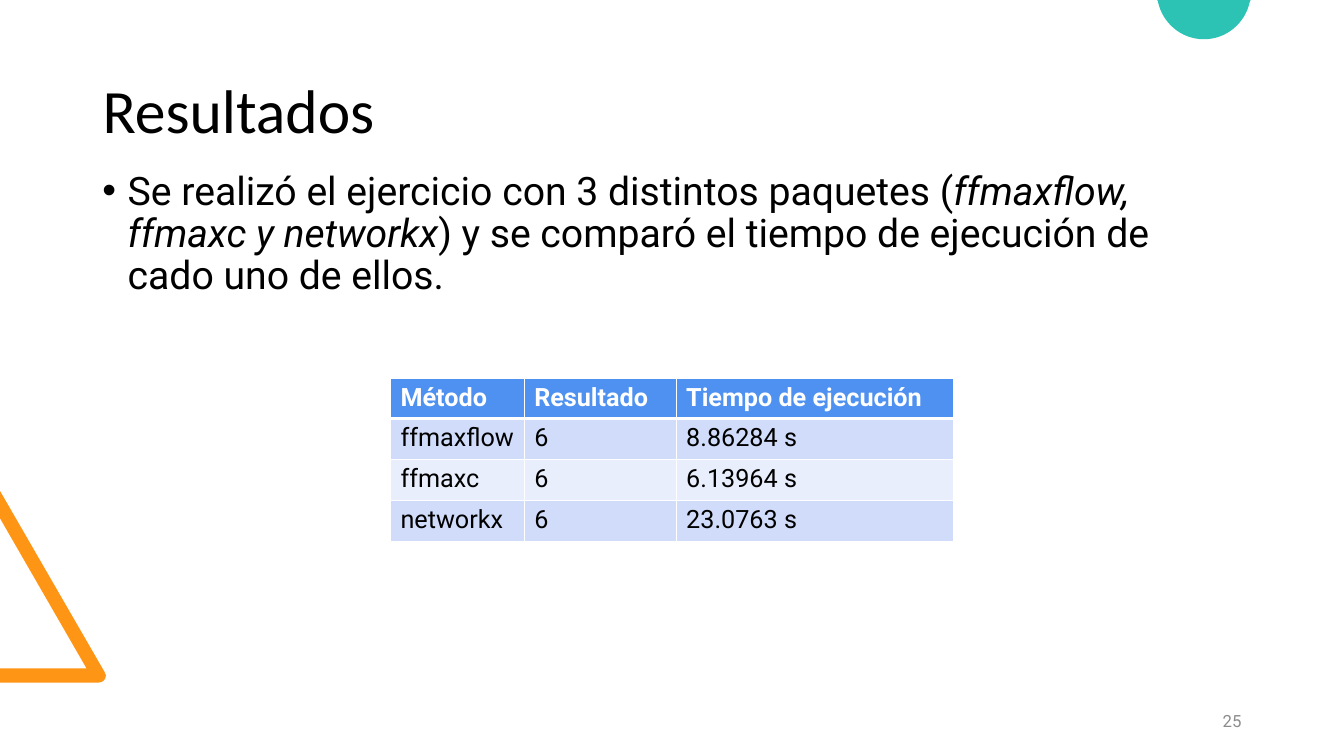
from dataclasses import dataclass

from lxml.etree import SubElement
from pptx import Presentation
from pptx.dml.color import RGBColor
from pptx.enum.text import MSO_ANCHOR as Anchor, MSO_AUTO_SIZE as AutoSize, PP_ALIGN as Align
from pptx.oxml.ns import qn
from pptx.util import Cm, Pt


@dataclass(frozen=True)
class Theme:
    heading_font: str = "Calibri"
    body_font: str = "Roboto"
    title_size: float = 44
    body_size: float = 28
    table_size: float = 18
    number_size: float = 12
    black: str = "000000"
    white: str = "FFFFFF"
    grey: str = "8C8C8C"
    orange: str = "FF9514"
    teal: str = "2CC3B4"
    header: str = "4E91F0"
    bands: tuple[str, str] = ("D0DCF9", "E9EEFC")


@dataclass(frozen=True)
class Box:
    left: float
    top: float
    width: float
    height: float

    def lengths(self) -> tuple[Cm, Cm, Cm, Cm]:
        return Cm(self.left), Cm(self.top), Cm(self.width), Cm(self.height)


@dataclass(frozen=True)
class Outline:
    """Straight corners, then Bézier curves of three points each."""
    corners: list[tuple[float, float]]
    curves: list[tuple[float, float]]
    color: str


@dataclass(frozen=True)
class Measurement:
    method: str
    result: str
    time: str


THEME = Theme()
TITLE_BOX = Box(2.33, 1.01, 29.21, 3.68)
BODY_BOX = Box(2.33, 4.19, 29.21, 12.95)
NUMBER_BOX = Box(23.92, 17.65, 7.62, 1.02)
TABLE_BOX = Box(9.84, 9.53, 14.18, 4.09)
COLUMN_WIDTHS = (3.37, 3.83, 6.98)
HEADER_HEIGHT, ROW_HEIGHT = 1.0, 1.03
HEADINGS = ("Método", "Resultado", "Tiempo de ejecución")
MEASUREMENTS = (
    Measurement("ffmaxflow", "6", "8.86284 s"),
    Measurement("ffmaxc", "6", "6.13964 s"),
    Measurement("networkx", "6", "23.0763 s"),
)
OUTLINES = (
    Outline(
        [(0, 17.2), (0, 16.84), (2.18, 16.84), (0, 13.06), (0, 12.37), (2.64, 16.94)],
        [(2.66, 16.97), (2.67, 17), (2.67, 17.02), (2.67, 17.12), (2.59, 17.2), (2.49, 17.2)],
        THEME.orange,
    ),
    Outline(
        [(29.16, 0), (31.52, 0), (31.5, 0.03)],
        [(31.39, 0.58), (30.91, 0.99), (30.34, 0.99), (29.77, 0.99), (29.29, 0.58), (29.18, 0.03)],
        THEME.teal,
    ),
)


def add_run(paragraph, text: str, size: float, color: str, font_name: str = THEME.body_font,
            bold: bool = False, italic: bool = False) -> None:
    run = paragraph.add_run()
    run.text = text
    font = run.font
    font.name, font.size = font_name, Pt(size)
    font.bold, font.italic = bold, italic
    font.color.rgb = RGBColor.from_string(color)


def add_outline(slide, outline: Outline) -> None:
    start, *others = [(Cm(x), Cm(y)) for x, y in outline.corners + outline.curves]
    builder = slide.shapes.build_freeform(*start)
    builder.add_line_segments(others, close=True)
    shape = builder.convert_to_shape()

    # Join every three curve points into one Bézier segment
    segments = list(shape._element.iter(qn("a:lnTo")))[len(outline.corners) - 1:]
    for first, second, end in zip(segments[::3], segments[1::3], segments[2::3]):
        first.tag = qn("a:cubicBezTo")
        for segment in (second, end):
            first.append(segment[0])
            segment.getparent().remove(segment)

    shape.shadow.inherit = False
    shape.fill.solid()
    shape.fill.fore_color.rgb = RGBColor.from_string(outline.color)
    shape.line.fill.background()


def add_text_box(slide, box: Box, anchor: Anchor):
    frame = slide.shapes.add_textbox(*box.lengths()).text_frame
    frame.word_wrap = True
    frame.vertical_anchor = anchor
    return frame.paragraphs[0]


def set_title(slide, text: str) -> None:
    title = slide.shapes.title
    title.left, title.top, title.width, title.height = TITLE_BOX.lengths()
    frame = title.text_frame
    frame.auto_size = AutoSize.NONE
    frame.vertical_anchor = Anchor.MIDDLE
    paragraph = frame.paragraphs[0]
    paragraph.alignment = Align.LEFT
    paragraph.line_spacing = 0.9
    add_run(paragraph, text, THEME.title_size, THEME.black, THEME.heading_font)


def set_bullet(paragraph, indent: float) -> None:
    properties = paragraph._p.get_or_add_pPr()
    properties.set("marL", str(Cm(indent)))
    properties.set("indent", str(-Cm(indent)))
    SubElement(properties, qn("a:buFont"), typeface="Arial")
    SubElement(properties, qn("a:buChar"), char="•")


def set_borders(cell, top: float, bottom: float) -> None:
    properties = cell._tc.get_or_add_tcPr()
    for side, width in (("L", 1), ("R", 1), ("T", top), ("B", bottom)):
        line = SubElement(properties, qn(f"a:ln{side}"), w=str(Pt(width)))
        fill = SubElement(line, qn("a:solidFill"))
        SubElement(fill, qn("a:srgbClr"), val=THEME.white)


def add_results_table(slide) -> None:
    rows = [HEADINGS] + [(item.method, item.result, item.time) for item in MEASUREMENTS]
    table = slide.shapes.add_table(len(rows), len(HEADINGS), *TABLE_BOX.lengths()).table
    for column, width in zip(table.columns, COLUMN_WIDTHS):
        column.width = Cm(width)
    for row_index, texts in enumerate(rows):
        is_header = row_index == 0
        table.rows[row_index].height = Cm(HEADER_HEIGHT if is_header else ROW_HEIGHT)
        fill = THEME.header if is_header else THEME.bands[(row_index - 1) % 2]
        color = THEME.white if is_header else THEME.black
        for column_index, text in enumerate(texts):
            cell = table.cell(row_index, column_index)
            set_borders(cell, top=3 if row_index == 1 else 1, bottom=3 if is_header else 1)
            cell.fill.solid()
            cell.fill.fore_color.rgb = RGBColor.from_string(fill)
            add_run(cell.text_frame.paragraphs[0], text, THEME.table_size, color, bold=is_header)


def main() -> None:
    presentation = Presentation()
    presentation.slide_width, presentation.slide_height = Cm(33.87), Cm(19.05)
    slide = presentation.slides.add_slide(presentation.slide_layouts[5])

    # Corner decorations
    for outline in OUTLINES:
        add_outline(slide, outline)

    # Title and explanation
    set_title(slide, "Resultados")
    body = add_text_box(slide, BODY_BOX, Anchor.TOP)
    body.line_spacing = 0.9
    body.space_before = Pt(10)
    set_bullet(body, 0.64)
    for text, italic in (
        ("Se realizó el ejercicio con 3 distintos paquetes (", False),
        ("ffmaxflow, ffmaxc y networkx", True),
        (") y se comparó el tiempo de ejecución de cado uno de ellos.", False),
    ):
        add_run(body, text, THEME.body_size, THEME.black, italic=italic)

    # Slide number
    number = add_text_box(slide, NUMBER_BOX, Anchor.MIDDLE)
    number.alignment = Align.RIGHT
    number.space_after = Pt(6)
    add_run(number, "25", THEME.number_size, THEME.grey)

    # Execution times
    add_results_table(slide)
    presentation.save("out.pptx")


if __name__ == "__main__":
    main()
